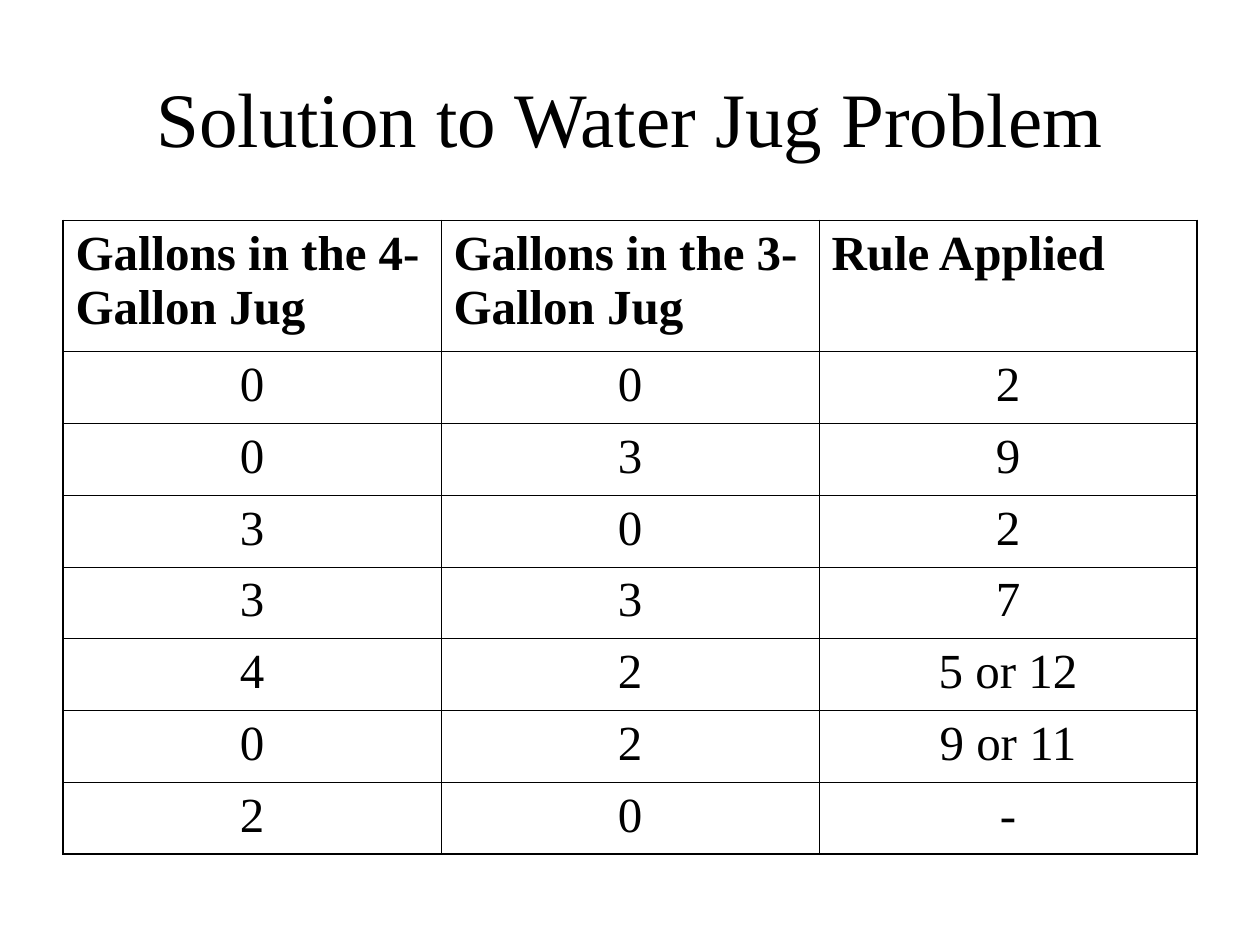
import pptx
import pptx.util
import pptx.dml.color
import pptx.enum.text
import pptx.oxml
import pptx.oxml.ns

Inches = pptx.util.Inches
Pt = pptx.util.Pt
ALIGN = pptx.enum.text.PP_ALIGN
ANCHOR = pptx.enum.text.MSO_ANCHOR

TITLE = "Solution to Water Jug Problem"
ROWS = [
    ("Gallons in the 4- Gallon Jug", "Gallons in the 3- Gallon Jug", "Rule Applied"),
    ("0", "0", "2"),
    ("0", "3", "9"),
    ("3", "0", "2"),
    ("3", "3", "7"),
    ("4", "2", "5 or 12"),
    ("0", "2", "9 or 11"),
    ("2", "0", "-"),
]
COLORS = {"text": "000000", "border": "000000"}
FONT = "Times New Roman"
COLUMN_WIDTH = 3
HEADER_HEIGHT = 1.04
ROW_HEIGHT = 0.57
OUTER_LINE = 1.08
INNER_LINE = 0.45


def add_text(paragraph, text, size, bold=False):
    run = paragraph.add_run()
    run.text = text
    run.font.name = FONT
    run.font.size = Pt(size)
    run.font.bold = bold
    run.font.color.rgb = pptx.dml.color.RGBColor.from_string(COLORS["text"])


def set_borders(cell, outer_sides):
    properties = cell._tc.get_or_add_tcPr()
    for position, side in enumerate("LRTB"):
        width = Pt(OUTER_LINE if side in outer_sides else INNER_LINE)
        line = pptx.oxml.parse_xml(
            f'<a:ln{side} {pptx.oxml.ns.nsdecls("a")} w="{width}">'
            f'<a:solidFill><a:srgbClr val="{COLORS["border"]}"/></a:solidFill>'
            f'<a:prstDash val="solid"/></a:ln{side}>'
        )
        properties.insert(position, line)


presentation = pptx.Presentation()
presentation.slide_width = Inches(10)
presentation.slide_height = Inches(7.5)
slide = presentation.slides.add_slide(presentation.slide_layouts[5])

title = slide.shapes.title
title.left, title.top = Inches(0.5), Inches(0.3)
title.width, title.height = Inches(9), Inches(1.25)
title.text_frame.vertical_anchor = ANCHOR.MIDDLE
title_paragraph = title.text_frame.paragraphs[0]
title_paragraph.alignment = ALIGN.CENTER
add_text(title_paragraph, TITLE, 44)

last_row, last_column = len(ROWS) - 1, len(ROWS[0]) - 1
table = slide.shapes.add_table(
    len(ROWS), len(ROWS[0]), Inches(0.5), Inches(1.75),
    Inches(COLUMN_WIDTH * len(ROWS[0])),
    Inches(HEADER_HEIGHT + ROW_HEIGHT * last_row),
).table
table.horz_banding = False
for column in table.columns:
    column.width = Inches(COLUMN_WIDTH)

for row_index, row in enumerate(ROWS):
    is_header = row_index == 0
    table.rows[row_index].height = Inches(HEADER_HEIGHT if is_header else ROW_HEIGHT)
    for column_index, text in enumerate(row):
        cell = table.cell(row_index, column_index)
        cell.fill.background()
        cell.margin_left = cell.margin_right = Inches(0.1)
        cell.margin_top = cell.margin_bottom = Inches(0.05)
        paragraph = cell.text_frame.paragraphs[0]
        paragraph.alignment = ALIGN.LEFT if is_header else ALIGN.CENTER
        paragraph.space_before = Pt(7)
        add_text(paragraph, text, 28, is_header)
        edges = {
            "L": column_index == 0,
            "R": column_index == last_column,
            "T": is_header,
            "B": row_index == last_row,
        }
        set_borders(cell, [side for side, is_outer in edges.items() if is_outer])

presentation.save("out.pptx")
